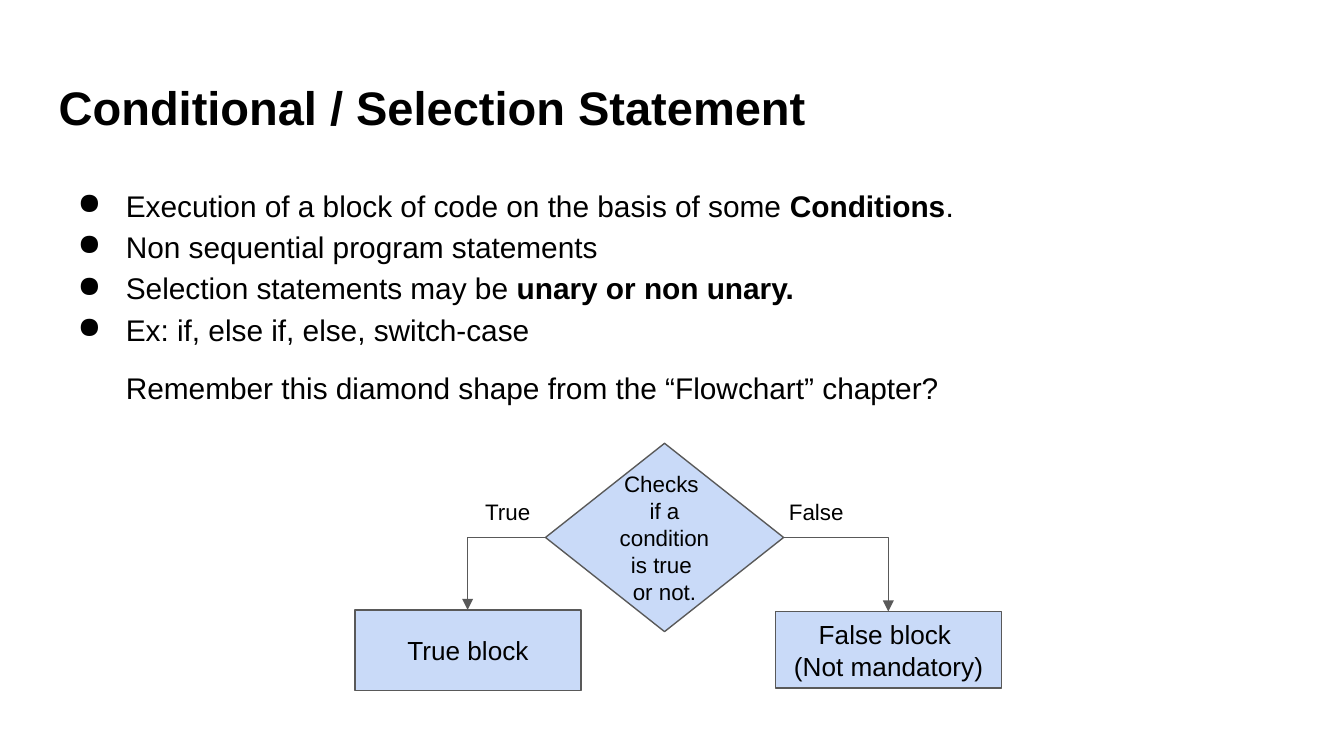
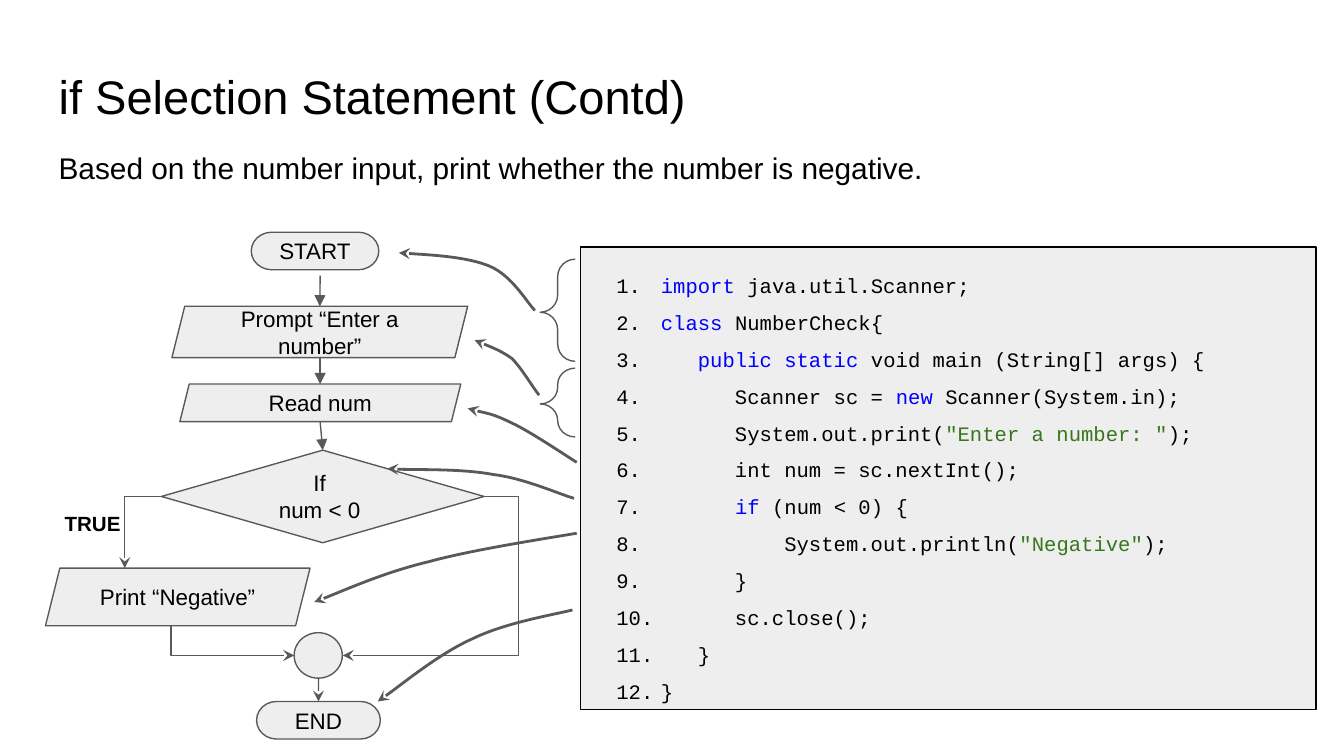
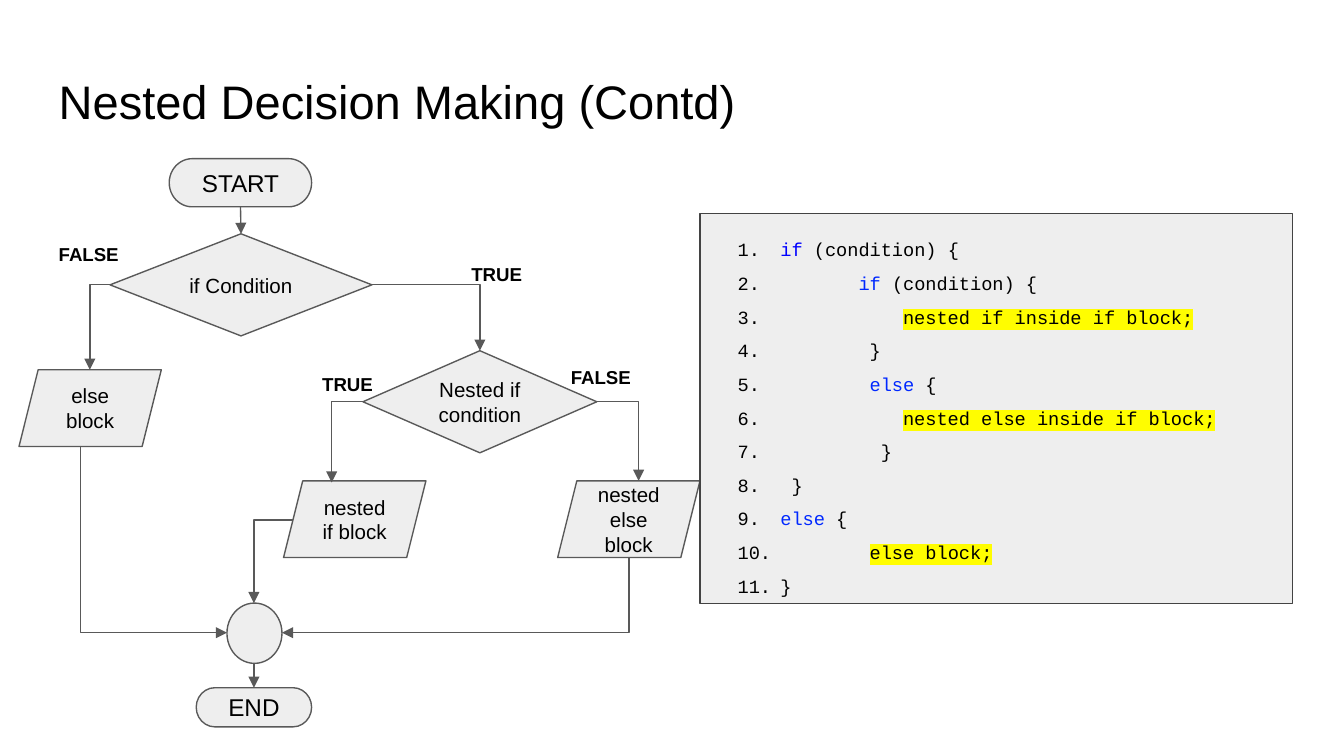
from lxml import etree
from pptx import Presentation
from pptx.dml.color import RGBColor
from pptx.enum.shapes import MSO_CONNECTOR, MSO_SHAPE
from pptx.enum.text import MSO_ANCHOR, PP_ALIGN
from pptx.oxml.ns import qn
from pptx.util import Cm, Pt

RECT = MSO_SHAPE.RECTANGLE
DIAMOND = MSO_SHAPE.DIAMOND
DECISION = MSO_SHAPE.FLOWCHART_DECISION
TERMINATOR = MSO_SHAPE.FLOWCHART_TERMINATOR
SLANTED = MSO_SHAPE.PARALLELOGRAM
OVAL = MSO_SHAPE.OVAL
BRACE = MSO_SHAPE.LEFT_BRACE
STRAIGHT = MSO_CONNECTOR.STRAIGHT
ELBOW = MSO_CONNECTOR.ELBOW
TOP, MIDDLE = MSO_ANCHOR.TOP, MSO_ANCHOR.MIDDLE
LEFT, CENTER = PP_ALIGN.LEFT, PP_ALIGN.CENTER

BLACK, EDGE, GRAY, PALE_BLUE = "000000", "595959", "EEEEEE", "C9DAF8"
KEYWORD, NESTED_KEYWORD, STRING, MARKER = "0000FF", "0028FF", "38761D", "FFFD00"
rgb = RGBColor.from_string


def add_box(s, kind, x, y, w, h, text="", size=12, fill=None, edge=EDGE, bold=False):
    place = Cm(x), Cm(y), Cm(w), Cm(h)
    if kind is None:
        sp = s.shapes.add_textbox(*place)
    else:
        sp = s.shapes.add_shape(kind, *place)
        sp.shadow.inherit = False
        sp.line.color.rgb = rgb(edge)
        sp.line.width = Pt(0.75)
        if fill:
            sp.fill.solid()
            sp.fill.fore_color.rgb = rgb(fill)
        else:
            sp.fill.background()
    tf = sp.text_frame
    tf.word_wrap = True
    tf.margin_left = tf.margin_right = tf.margin_top = tf.margin_bottom = Cm(0.25)
    tf.vertical_anchor = TOP if kind is None else MIDDLE
    tf.text = text
    for p in tf.paragraphs:
        p.alignment = LEFT if kind is None else CENTER
        for r in p.runs:
            r.font.name = "Arial"
            r.font.size = Pt(size)
            r.font.bold = bold
            r.font.color.rgb = rgb(BLACK)
    return sp


def add_arrow(s, x1, y1, x2, y2, head="triangle", route="straight"):
    if route == "down":
        mx, my = (x1 + x2) / 2, (y1 + y2) / 2
        turn = 1 if x2 > x1 else -1
        dx, dy = abs(x2 - x1) / 2, turn * (y2 - y1) / 2
        x1, y1, x2, y2 = mx + dy, my - dx, mx - dy, my + dx
    kind = STRAIGHT if route == "straight" else ELBOW
    cx = s.shapes.add_connector(kind, Cm(x1), Cm(y1), Cm(x2), Cm(y2))
    cx.line.color.rgb = rgb(EDGE)
    cx.line.width = Pt(0.75)
    spPr = cx._element.spPr
    etree.SubElement(spPr.find(qn("a:ln")), qn("a:tailEnd"), type=head)
    etree.SubElement(spPr, qn("a:effectLst"))
    geom = spPr.find(qn("a:prstGeom"))
    if route in ("across", "down"):
        geom.set("prst", "bentConnector2")
    if route == "down":
        spPr.find(qn("a:xfrm")).set("rot", "16200000" if turn == 1 else "5400000")
    if route == "back":
        etree.SubElement(geom.find(qn("a:avLst")), qn("a:gd"), name="adj1", fmla="val -24900")
    return cx


prs = Presentation()
prs.slide_width, prs.slide_height = Cm(25.4), Cm(14.29)
titles = [
    ("Conditional / Selection Statement", 1.24, True),
    ("if Selection Statement (Contd)", 1.02, False),
    ("Nested Decision Making (Contd)", 1.12, False),
]
slides = []
for title, y, bold in titles:
    s = prs.slides.add_slide(prs.slide_layouts[6])
    add_box(s, None, 0.86, y, 23.67, 1.6, title, 25.2, bold=bold)
    slides.append(s)
intro, single, nested = slides

points = [
    [("Execution of a block of code on the basis of some ", False), ("Conditions", True), (".", False)],
    [("Non sequential program statements", False)],
    [("Selection statements may be ", False), ("unary or non unary.", True)],
    [("Ex: if, else if, else, switch-case", False)],
    [("Remember this diamond shape from the “Flowchart” chapter?", False)],
]
tf = add_box(intro, None, 0.86, 3.2, 23.67, 9.5).text_frame
for i, point in enumerate(points):
    p = tf.paragraphs[0] if i == 0 else tf.add_paragraph()
    pPr = p._p.get_or_add_pPr()
    if i < len(points) - 1:
        p.line_spacing = 1.15
        pPr.set("marL", str(Cm(1.27)))
        pPr.set("indent", str(Cm(-0.91)))
        etree.SubElement(pPr, qn("a:buChar"), char="●")
    else:
        p.space_before = Pt(12)
        pPr.set("indent", str(Cm(1.27)))
    for text, bold in point:
        r = p.add_run()
        r.text = text
        r.font.name = "Arial"
        r.font.size = Pt(16)
        r.font.bold = bold
        r.font.color.rgb = rgb(BLACK)

add_box(intro, DECISION, 10.31, 8.38, 4.5, 3.56,
        "Checks \nif a condition is true \nor not.", 12, PALE_BLUE)
add_box(intro, RECT, 6.71, 11.53, 4.27, 1.52, "True block", 14, PALE_BLUE)
add_box(intro, RECT, 14.66, 11.56, 4.27, 1.45, "False block \n(Not mandatory)", 14, PALE_BLUE)
add_arrow(intro, 10.31, 10.16, 8.84, 11.53, route="across")
add_arrow(intro, 14.81, 10.16, 16.79, 11.56, route="across")
add_box(intro, None, 8.92, 9.17, 1.88, 1.02, "True")
add_box(intro, None, 14.66, 9.17, 1.88, 1.02, "False")

sp = add_box(single, None, 0.86, 2.13, 24.03, 2.06,
             "Based on the number input, print whether the number is negative.", 16)
sp.text_frame.vertical_anchor = MIDDLE
add_box(single, TERMINATOR, 4.75, 4.39, 2.41, 0.71, "START", 12, GRAY)
prompt = add_box(single, SLANTED, 3.25, 5.79, 5.59, 0.97, "Prompt “Enter a number”", 12, GRAY)
add_box(single, SLANTED, 3.4, 7.26, 5.31, 0.71, "Read num", 12, GRAY)
test = add_box(single, DIAMOND, 3.05, 8.51, 6.1, 1.75, "If \nnum < 0 ", 12, GRAY)
add_box(single, SLANTED, 0.86, 10.74, 5, 1.09, "Print “Negative”", 12, GRAY)
add_box(single, OVAL, 5.56, 11.96, 0.91, 0.86, fill=GRAY)
end = add_box(single, TERMINATOR, 4.85, 13.26, 2.34, 0.71, "END", 12, GRAY)
add_box(single, None, 0.97, 9.42, 1.78, 0.71, "TRUE", 11, bold=True)
add_arrow(single, 6.05, 5.21, 6.05, 5.79).end_connect(prompt, 0)
add_arrow(single, 6.05, 6.76, 6.05, 7.26)
add_arrow(single, 6.05, 7.97, 6.1, 8.51).end_connect(test, 0)
add_arrow(single, 3.05, 9.38, 2.36, 10.74, "stealth", "across")
add_arrow(single, 3.23, 11.84, 5.56, 12.39, "stealth", "down")
add_arrow(single, 9.14, 9.38, 6.48, 12.39, "stealth", "back")
add_arrow(single, 6.02, 12.82, 6.02, 13.26, "stealth").end_connect(end, 0)
for y, h in [(4.9, 1.93), (6.96, 1.3)]:
    sp = add_box(single, BRACE, 10.21, y, 0.66, h)
    sp.adjustments[0], sp.adjustments[1] = 0.5, 0.52

curves = [
    [(10.11, 5.87), (9.96, 5.72), (9.68, 5.21), (9.25, 5.03), (8.81, 4.85), (7.82, 4.8), (7.54, 4.78)],
    [(10.19, 7.47), (10.08, 7.34), (9.88, 6.99), (9.68, 6.78), (9.47, 6.63), (9.09, 6.48), (8.97, 6.43)],
    [(10.9, 8.74), (10.69, 8.61), (10.01, 8.15), (9.68, 8), (9.32, 7.82), (8.99, 7.77), (8.84, 7.72)],
    [(10.85, 9.42), (10.59, 9.35), (9.91, 9.04), (9.32, 8.97), (8.74, 8.86), (7.65, 8.89), (7.32, 8.86)],
    [(10.9, 10.08), (10.44, 10.16), (8.92, 10.39), (8.1, 10.62), (7.26, 10.82), (6.3, 11.25), (5.94, 11.38)],
    [(10.82, 11.53), (10.52, 11.61), (9.58, 11.76), (8.94, 12.07), (8.33, 12.34), (7.44, 13.06), (7.14, 13.26)],
]
for curve in curves:
    start, *rest = [(Cm(x), Cm(y)) for x, y in curve]
    fb = single.shapes.build_freeform(*start)
    fb.add_line_segments(rest, close=False)
    sp = fb.convert_to_shape()
    sp.shadow.inherit = False
    sp.fill.background()
    sp.line.color.rgb = rgb(EDGE)
    sp.line.width = Pt(1.5)
    spPr = sp._element.spPr
    etree.SubElement(spPr.find(qn("a:ln")), qn("a:tailEnd"), type="stealth")
    outline = next(spPr.iter(qn("a:path")))
    for i, segment in enumerate(outline.findall(qn("a:lnTo"))):
        if i % 3 == 0:
            bezier = etree.SubElement(outline, qn("a:cubicBezTo"))
        bezier.append(segment[0])
        outline.remove(segment)

start = add_box(nested, TERMINATOR, 3.2, 3, 2.69, 0.91, "START", 13, GRAY)
end = add_box(nested, TERMINATOR, 3.71, 13, 2.18, 0.74, "END", 13, GRAY)
test = add_box(nested, DIAMOND, 2.08, 4.42, 4.95, 1.93, "if Condition", 11, GRAY)
add_box(nested, DIAMOND, 6.86, 6.63, 4.42, 1.93, "Nested if condition", 11, GRAY)
add_box(nested, OVAL, 4.29, 11.4, 1.04, 1.14, fill=GRAY)
for x, y, text in [(0.36, 6.99, "else block"), (5.36, 9.09, "nested if block"),
                   (10.54, 9.09, "nested else block")]:
    add_box(nested, SLANTED, x, y, 2.69, 1.45, text, 11, GRAY)
for x, y, w, text in [(8.66, 4.75, 2.18, "TRUE"), (0.86, 4.37, 2.18, "FALSE"),
                      (5.84, 6.83, 1.6, "TRUE"), (10.54, 6.71, 1.88, "FALSE")]:
    add_box(nested, None, x, y, w, 0.94, text, 10, bold=True)
cx = add_arrow(nested, 4.55, 3.91, 4.55, 4.42)
cx.begin_connect(start, 2)
cx.end_connect(test, 0)
add_arrow(nested, 4.8, 12.54, 4.8, 13).end_connect(end, 0)
for x1, y1, x2, y2, route in [
    (7.01, 5.38, 9.07, 6.63, "across"),
    (2.08, 5.38, 1.7, 6.99, "across"),
    (6.86, 7.59, 6.27, 9.12, "across"),
    (11.28, 7.59, 12.07, 9.09, "across"),
    (5.54, 9.83, 4.8, 11.4, "across"),
    (11.89, 10.54, 5.33, 11.96, "down"),
    (1.52, 8.43, 4.29, 11.96, "down"),
]:
    add_arrow(nested, x1, y1, x2, y2, route=route)

single_code = [
    [("import ", KEYWORD), ("java.util.Scanner;", BLACK)],
    [("class", KEYWORD), (" NumberCheck{", BLACK)],
    [("   public static", KEYWORD), (" void main (String[] args) {", BLACK)],
    [("      Scanner sc = ", BLACK), ("new ", KEYWORD), ("Scanner(System.in);", BLACK)],
    [("      System.out.print(", BLACK), ('"Enter a number: "', STRING), (");", BLACK)],
    [("      int num = sc.nextInt();", BLACK)],
    [("      ", BLACK), ("if", KEYWORD), (" (num < 0) {", BLACK)],
    [("          System.out.println(", BLACK), ('"Negative"', STRING), (");", BLACK)],
    [("      }", BLACK)],
    [("      sc.close();", BLACK)],
    [("   }", BLACK)],
    [("}", BLACK)],
]
nested_code = [
    [("if", KEYWORD), (" (condition) {", BLACK)],
    [("       ", BLACK), ("if ", NESTED_KEYWORD), ("(condition) {", BLACK)],
    [("           ", BLACK), ("nested if inside if block;", MARKER)],
    [("        }", BLACK)],
    [("        ", BLACK), ("else ", NESTED_KEYWORD), ("{", BLACK)],
    [("           ", BLACK), ("nested else inside if block;", MARKER)],
    [("         }", BLACK)],
    [(" }", BLACK)],
    [("else ", NESTED_KEYWORD), ("{", BLACK)],
    [("        ", BLACK), ("else block;", MARKER)],
    [("}", BLACK)],
]
for s, place, edge, size, indent, code in [
    (single, (10.97, 4.67, 13.9, 8.74), BLACK, 11, -0.84, single_code),
    (nested, (13.23, 4.04, 11.2, 7.37), "434343", 10, -0.81, nested_code),
]:
    tf = add_box(s, RECT, *place, fill=GRAY, edge=edge).text_frame
    tf.vertical_anchor = TOP
    for i, line in enumerate(code):
        p = tf.paragraphs[0] if i == 0 else tf.add_paragraph()
        p.alignment = LEFT
        p.line_spacing = 1.5
        pPr = p._p.get_or_add_pPr()
        pPr.set("marL", str(Cm(1.27)))
        pPr.set("indent", str(Cm(indent)))
        color = etree.SubElement(pPr, qn("a:buClr"))
        etree.SubElement(color, qn("a:srgbClr"), val=BLACK)
        etree.SubElement(pPr, qn("a:buFont"), typeface="Courier New")
        etree.SubElement(pPr, qn("a:buAutoNum"), type="arabicPeriod")
        for text, color in line:
            r = p.add_run()
            r.text = text
            r.font.name = "Courier New"
            r.font.size = Pt(size)
            r.font.color.rgb = rgb(BLACK if color == MARKER else color)
            if color == MARKER:
                highlight = etree.Element(qn("a:highlight"))
                etree.SubElement(highlight, qn("a:srgbClr"), val=MARKER)
                r._r.rPr.find(qn("a:solidFill")).addnext(highlight)

prs.save("out.pptx")
